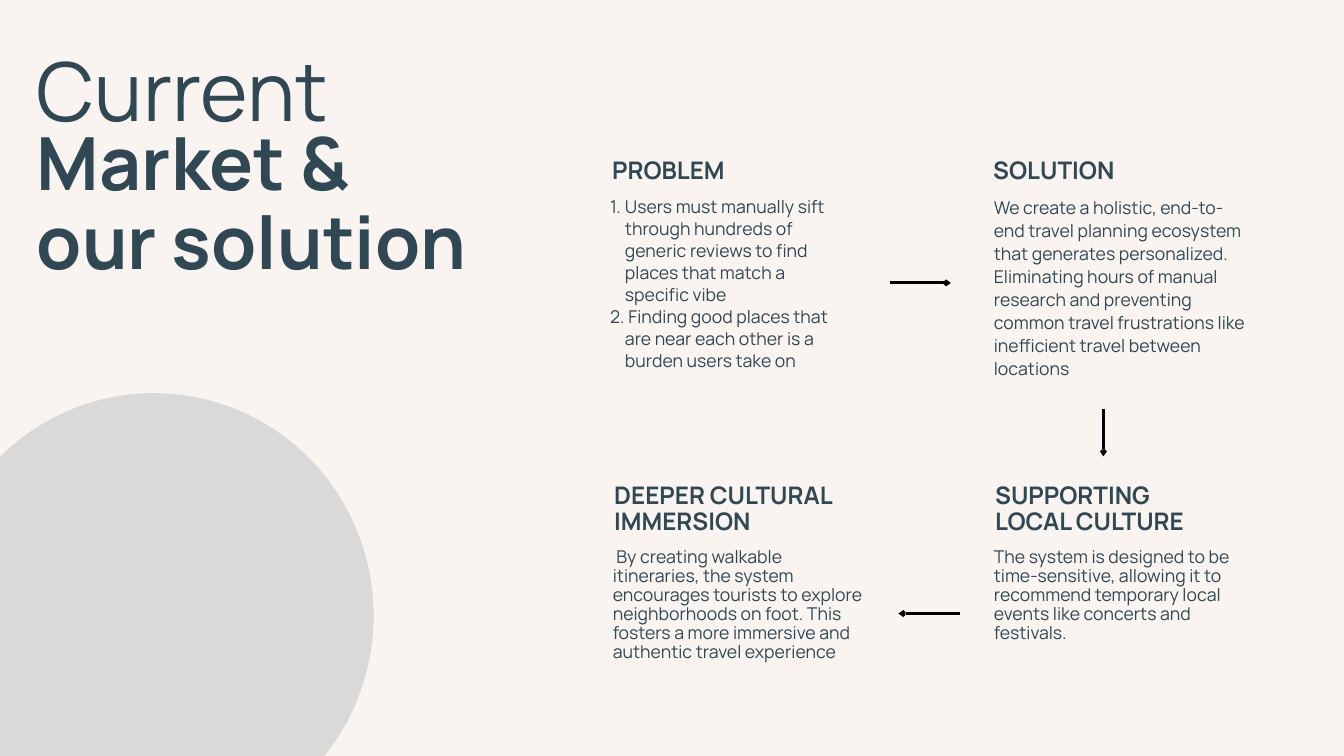
from lxml import etree
from pptx import Presentation
from pptx.dml.color import RGBColor
from pptx.enum.shapes import MSO_CONNECTOR, MSO_SHAPE
from pptx.enum.text import MSO_ANCHOR, MSO_AUTO_SIZE, PP_ALIGN
from pptx.oxml.ns import qn
from pptx.util import Inches, Pt

LINE, OVAL = MSO_CONNECTOR.STRAIGHT, MSO_SHAPE.OVAL
LEFT, TOP, GROW = PP_ALIGN.LEFT, MSO_ANCHOR.TOP, MSO_AUTO_SIZE.SHAPE_TO_FIT_TEXT
HEX = {"back": "F9F4F0", "ink": "304853", "disc": "D9D9D9", "arrow": "000000"}
COLOR = {name: RGBColor.from_string(code) for name, code in HEX.items()}
FRAME = {"margin_left": 0, "margin_top": 0, "margin_right": 0, "margin_bottom": 0,
         "word_wrap": True, "vertical_anchor": TOP, "auto_size": GROW}

# Grid in inches: two columns, two rows of cards
COLS = (9.12, 14.79)
HEADS = (2.35, 7.19)
BODIES = (2.9, 8.16)
NUDGE = (-0.01, 0.02)
EDGE = 0.55
WIDE = 3.74

deck = Presentation()
deck.slide_width, deck.slide_height = Inches(20), Inches(11.25)
slide = deck.slides.add_slide(deck.slide_layouts[1])
slide.background.fill.solid()
slide.background.fill.fore_color.rgb = COLOR["back"]
shapes = slide.shapes


def write(box, area, lines, size, pitch, bold=False):
    """Place a box and fill it with one paragraph per line, pitch points apart."""
    box.left, box.top, box.width, box.height = map(Inches, area)
    frame = box.text_frame
    for key, value in FRAME.items():
        setattr(frame, key, value)
    font = {"name": "Manrope", "size": Pt(size), "bold": bold}
    form = {"alignment": LEFT, "line_spacing": Pt(pitch), "space_before": Pt(0)}
    for i, line in enumerate(lines):
        para = frame.add_paragraph() if i else frame.paragraphs[0]
        for key, value in form.items():
            setattr(para, key, value)
        run = para.add_run()
        run.text = line
        for key, value in font.items():
            setattr(run.font, key, value)
        run.font.color.rgb = COLOR["ink"]


def label(*args):
    """Write into a new text box."""
    write(shapes.add_textbox(0, 0, 0, 0), *args)


# Disc in the corner
disc = shapes.add_shape(OVAL, *map(Inches, (-0.98, 5.85, 6.54, 6.62)))
disc.shadow.inherit = False
disc.fill.solid()
disc.fill.fore_color.rgb = COLOR["disc"]
disc.line.fill.background()

# Title
label((EDGE, 0.74, 9.87, 1.42), ["Current"], 87, 93.9)
write(shapes.title, (EDGE, 1.87, 10.01, 2.45), ["Market &", "our solution"], 78.5, 84.8, True)

# Card headings: column, row, width, text
heads = [
    (0, 0, 3.95, "PROBLEM"),
    (1, 0, 2.01, "SOLUTION"),
    (0, 1, 3.45, "DEEPER CULTURAL IMMERSION"),
    (1, 1, 3.33, "SUPPORTING LOCAL CULTURE"),
]
for col, row, width, text in heads:
    area = (COLS[col] + NUDGE[row], HEADS[row], width, (0.42, 0.8)[row])
    label(area, [text], 25.9, 28, True)

# Card texts: column, row, height, line pitch, text
cards = [
    (1, 0, 3.02, 24.6, "We create a holistic, end-to-end travel planning ecosystem that generates "
     "personalized. Eliminating hours of manual research and preventing common travel "
     "frustrations like inefficient travel between locations"),
    (0, 1, 2, 20.4, " By creating walkable itineraries, the system encourages tourists to explore "
     "neighborhoods on foot. This fosters a more immersive and authentic travel experience"),
    (1, 1, 1.44, 20.4, "The system is designed to be time-sensitive, allowing it to recommend "
     "temporary local events like concerts and festivals."),
]
for col, row, height, pitch, text in cards:
    label((COLS[col], BODIES[row], WIDE, height), [text], 18.9, pitch)

# Numbered problems
items = [
    "Users must manually sift through hundreds of generic reviews to find places that "
    "match a specific vibe",
    " Finding good places that are near each other is a burden users take on",
]
body = slide.placeholders[1]
write(body, (COLS[0] - 0.27, 2.91, WIDE, 2.6), items, 18.9, 23.5)
for para in body.text_frame.paragraphs:
    para.level = 1
    props = para._p.get_or_add_pPr()
    props.set("marL", str(Inches(0.45)))
    props.set("indent", str(Inches(-0.22)))
    etree.SubElement(props, qn("a:buAutoNum"), type="arabicPeriod")

# Arrows from card to card: start, end, pointed end
arrows = [
    (13.24, 4.21, 14.15, 4.21, "tailEnd"),
    (16.42, 6.09, 16.42, 6.79, "tailEnd"),
    (13.37, 9.13, 14.28, 9.13, "headEnd"),
]
for *ends, tip in arrows:
    arrow = shapes.add_connector(LINE, *map(Inches, ends))
    arrow.line.width = Pt(3)
    arrow.line.color.rgb = COLOR["arrow"]
    etree.SubElement(arrow.line._get_or_add_ln(), qn("a:" + tip), type="arrow", w="sm", len="sm")
    etree.SubElement(arrow._element.spPr, qn("a:effectLst"))

deck.save("out.pptx")
